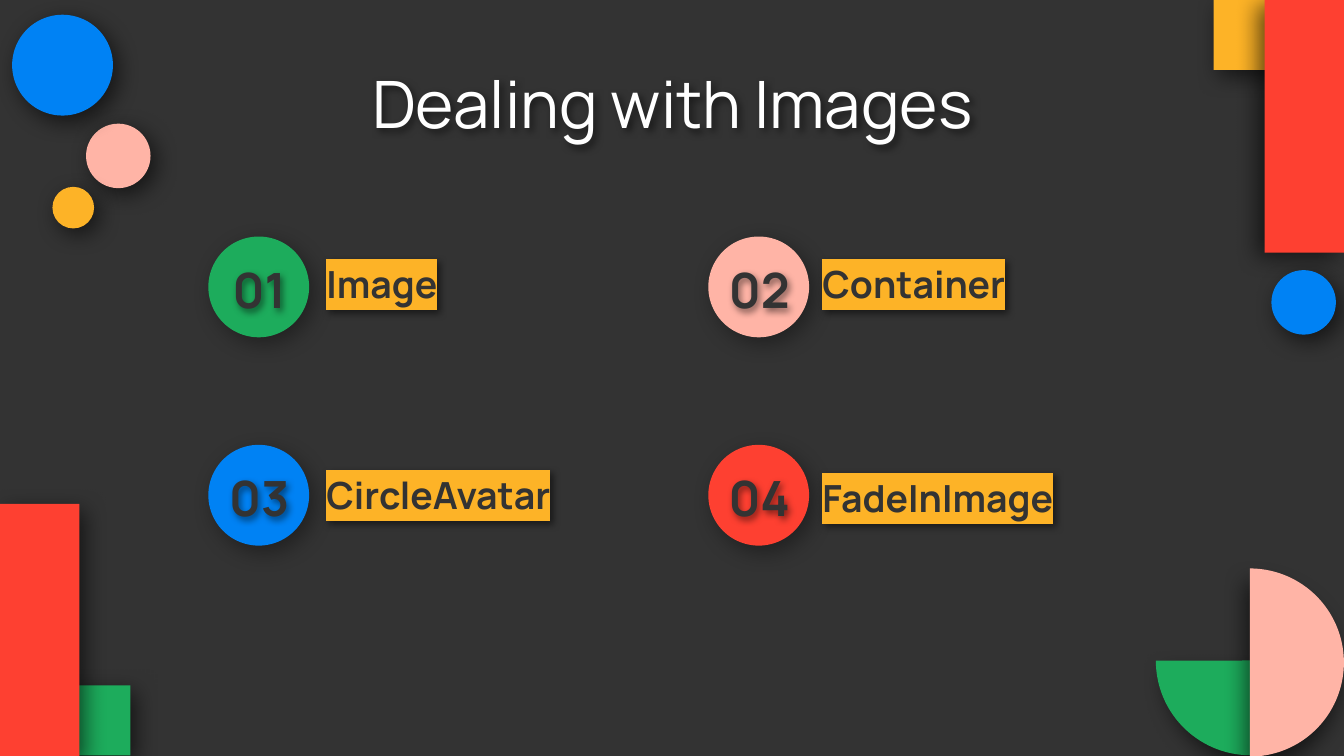
"""Build the "Dealing with Images" slide with four numbered widgets."""
import pptx
import pptx.dml.color
import pptx.enum.shapes
import pptx.enum.text
import pptx.oxml
import pptx.oxml.ns
import pptx.util

Inches = pptx.util.Inches
RGB = pptx.dml.color.RGBColor.from_string
SHAPE = pptx.enum.shapes.MSO_SHAPE
ANCHOR = pptx.enum.text.MSO_ANCHOR
ALIGN = pptx.enum.text.PP_ALIGN
COLORS = {
    "dark": "333333",
    "white": "FFFFFF",
    "blue": "0082F4",
    "red": "FE4031",
    "green": "1DAC5C",
    "pink": "FFB4A6",
    "yellow": "FDB327",
    "shadow": "000000",
}
NS = pptx.oxml.ns.nsdecls("a")

deck = pptx.Presentation()
deck.slide_width, deck.slide_height = Inches(10), Inches(5.625)
slide = deck.slides.add_slide(deck.slide_layouts[6])
slide.background.fill.solid()
slide.background.fill.fore_color.rgb = RGB(COLORS["dark"])


def cast_shadow(part, opacity, blur, distance, angle):
    part._element.spPr.append(pptx.oxml.parse_xml(
        f'<a:effectLst {NS}><a:outerShdw blurRad="{pptx.util.Pt(blur)}" '
        f'dist="{pptx.util.Pt(distance)}" dir="{angle * 60000}" algn="bl" rotWithShape="0">'
        f'<a:srgbClr val="{COLORS["shadow"]}"><a:alpha val="{opacity * 1000}"/></a:srgbClr>'
        "</a:outerShdw></a:effectLst>"
    ))


def add_words(words, box, size, color, align, anchor=ANCHOR.MIDDLE, bold=True):
    holder = slide.shapes.add_textbox(*map(Inches, box))
    cast_shadow(holder, 50, 4, 2, 50)
    frame = holder.text_frame
    frame.word_wrap = True
    frame.vertical_anchor = anchor
    frame.margin_left = frame.margin_right = Inches(0.1)
    frame.margin_top = frame.margin_bottom = Inches(0.1)
    frame.text = words
    frame.paragraphs[0].alignment = align
    run = frame.paragraphs[0].runs[0]
    run.font.size = pptx.util.Pt(size)
    run.font.bold = bold
    run.font.name = "Manrope"
    run.font.color.rgb = RGB(COLORS[color])
    return frame


widgets = [
    ("Image", "green", 1.84, 2.45, 0),
    ("Container", "pink", 1.84, 2.45, 0),
    ("CircleAvatar", "blue", 3.41, 2.45, 0),
    ("FadeInImage", "red", 3.43, 2.81, 0.5),
]
figures = [
    (SHAPE.OVAL, (0.64, 0.92, 0.48, 0.48), "pink", 59, 4.5, 50, []),
    (SHAPE.OVAL, (0.09, 0.11, 0.75, 0.75), "blue", 59, 4.5, 50, []),
    (SHAPE.OVAL, (0.39, 1.39, 0.31, 0.31), "yellow", 59, 4.5, 50, []),
    (SHAPE.RECTANGLE, (0.38, 5.1, 0.59, 0.52), "green", 59, 4.5, 50, []),
    (SHAPE.RECTANGLE, (0, 3.75, 0.59, 1.88), "red", 59, 4.5, 50, []),
    (SHAPE.PIE, (8.6, 4.21, 1.41, 1.41), "green", 59, 7.5, 50, [90, 180]),
    (SHAPE.PIE, (8.6, 4.23, 1.4, 1.4), "pink", 59, 7.5, 107, [270, 90]),
    (SHAPE.RECTANGLE, (9.03, 0, 0.59, 0.52), "yellow", 59, 4.5, 50, []),
    (SHAPE.RECTANGLE, (9.41, 0, 0.59, 1.88), "red", 59, 4.5, 149, []),
    (SHAPE.OVAL, (9.46, 2.01, 0.48, 0.48), "blue", 59, 4.5, 50, []),
]
for index, widget in enumerate(widgets):
    row, column = divmod(index, 2)
    badge = (1.55 + 3.72 * column, 1.76 + 1.55 * row, 0.75, 0.75)
    figures.append((SHAPE.OVAL, badge, widget[1], 37, 4.5, 50, []))

for preset, box, color, opacity, distance, shadow_angle, pie_angles in figures:
    figure = slide.shapes.add_shape(preset, *map(Inches, box))
    figure.fill.solid()
    figure.fill.fore_color.rgb = RGB(COLORS[color])
    figure.line.fill.background()
    cast_shadow(figure, opacity, 12.4, distance, shadow_angle)
    for position, degrees in enumerate(pie_angles):
        figure.adjustments[position] = degrees * 0.6

for index, (widget, color, label_top, label_width, right_margin) in enumerate(widgets):
    row, column = divmod(index, 2)
    label = add_words(widget, (2.33 + 3.69 * column, label_top, label_width, 0.54),
                      20, "dark", ALIGN.LEFT, ANCHOR.BOTTOM)
    label.margin_right = Inches(right_margin)
    label.auto_size = pptx.enum.text.MSO_AUTO_SIZE.SHAPE_TO_FIT_TEXT
    highlight = pptx.oxml.parse_xml(
        f'<a:highlight {NS}><a:srgbClr val="{COLORS["yellow"]}"/></a:highlight>'
    )
    run_properties = label.paragraphs[0].runs[0].font._element
    run_properties.find(pptx.oxml.ns.qn("a:solidFill")).addnext(highlight)
    add_words(f"{index + 1:02}", (1.53 + 3.72 * column, 1.92 + 1.55 * row, 0.8, 0.46),
              26, "dark", ALIGN.CENTER)

add_words("Dealing with Images", (0.79, 0.45, 8.43, 0.63), 35, "white", ALIGN.CENTER, bold=False)

deck.save("out.pptx")
